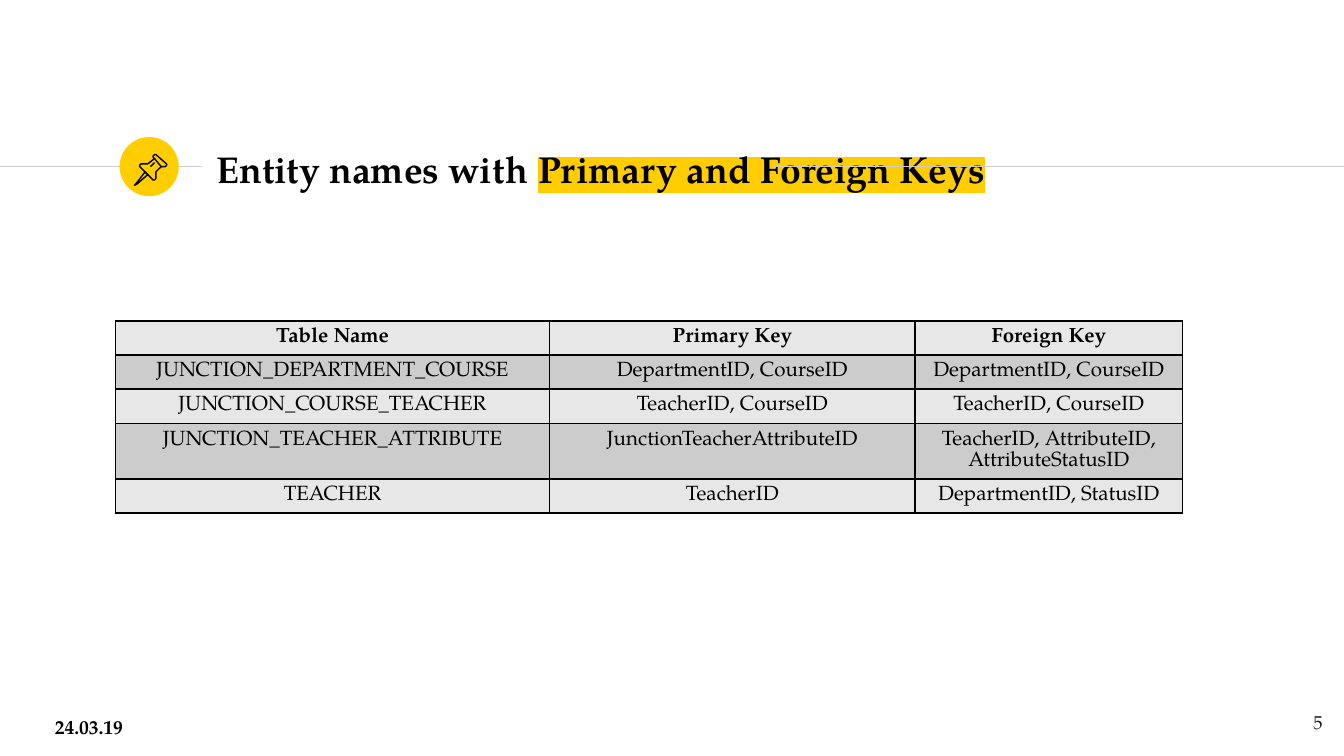
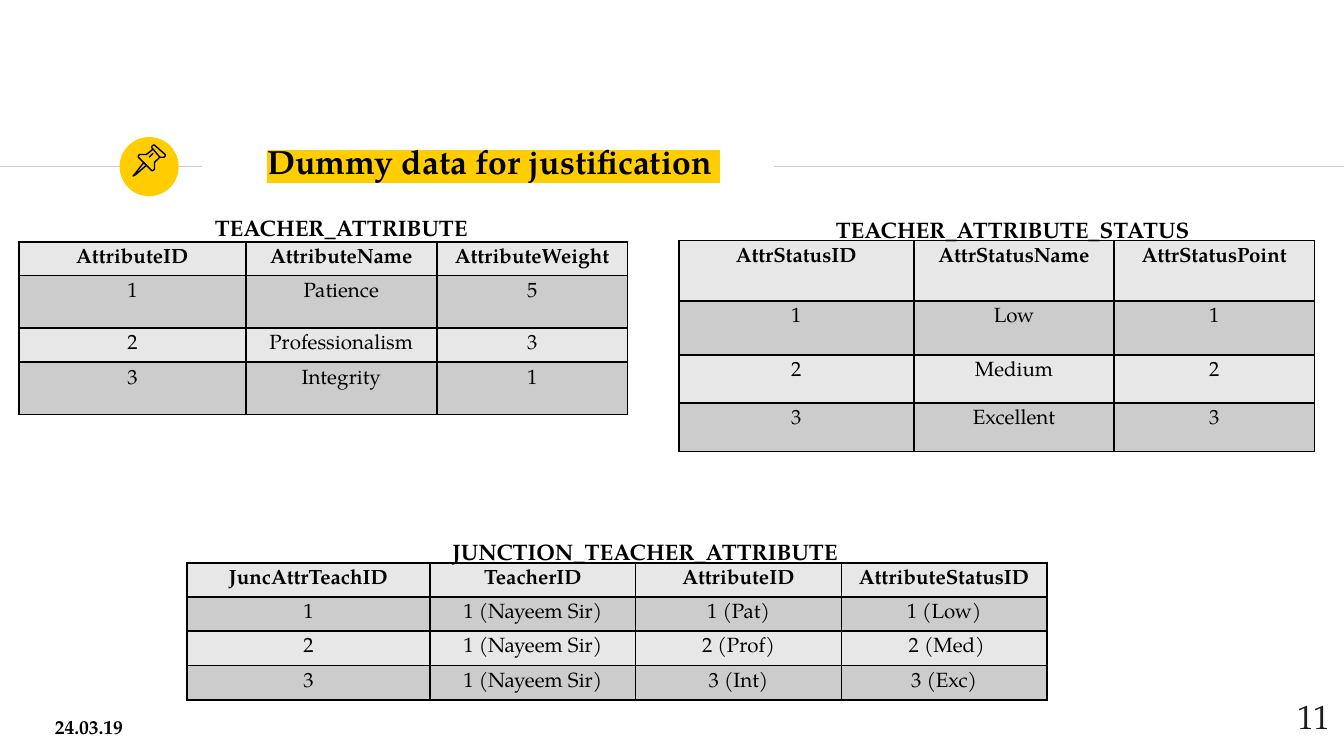
from pptx import Presentation
from pptx import util as u
from pptx.dml.color import RGBColor
from pptx.enum import shapes, text
from pptx.oxml import parse_xml
from pptx.oxml.ns import nsdecls

COLUMNS, ROWS = 100, 56.25  # grid of tenth-of-an-inch cells
FONT = "TeX Gyre Pagella"
INK, NUMBER_INK, ACCENT, RULE = "000000", "1D1D1B", "FFCD00", "CCCCCC"
BANDS = ("E7E7E7", "CCCCCC")
DATE = "24.03.19"

# Pushpin strokes in hundredths of an inch: points, closed
PIN = [
    ([(8, 13), (1, 22), (0, 23), (2, 22), (10, 15)], True),
    ([(15, 3), (20, 9), (21, 9), (23, 9), (24, 8), (24, 7),
      (16, 0), (15, 0), (14, 1), (14, 2)], True),
    ([(15, 3), (10, 7), (7, 7), (5, 7), (4, 8), (4, 9), (14, 19), (15, 19),
      (16, 18), (16, 16), (16, 13), (20, 9)], False),
    ([(12, 9), (15, 6)], False),
]


def color(hex_string):
    return RGBColor.from_string(hex_string)


def grid(*cells):
    return [u.Inches(cell / 10) for cell in cells]


class Deck:
    def __init__(self):
        self.prs = Presentation()
        self.prs.slide_width, self.prs.slide_height = grid(COLUMNS, ROWS)
        self.slide = None

    def new_slide(self, pin_at):
        layout = self.prs.slide_layouts.get_by_name("Title Only")
        self.slide = self.prs.slides.add_slide(layout)
        self.rule(0, 15)
        self.disc(8.9, 10.2, 4.4)
        self.rule(57.6, COLUMNS)
        self.pin(*pin_at)
        self.label(DATE, (3.1, 53.3, 8, 1.5), 10.5)

    def rule(self, start, end, row=12.4):
        line = self.slide.shapes.add_connector(
            shapes.MSO_CONNECTOR.STRAIGHT, *grid(start, row, end, row))
        line.line.color.rgb = color(RULE)
        line.line.width = u.Pt(0.75)
        line._element.spPr.append(
            parse_xml(f"<a:effectLst {nsdecls('a')}/>"))

    def disc(self, left, top, size):
        disc = self.slide.shapes.add_shape(
            shapes.MSO_SHAPE.OVAL, *grid(left, top, size, size))
        disc.shadow.inherit = False
        disc.fill.solid()
        disc.fill.fore_color.rgb = color(ACCENT)
        disc.line.fill.background()

    def pin(self, left, top):
        group = self.slide.shapes.add_group_shape()
        for points, closed in PIN:
            builder = group.shapes.build_freeform(
                *points[0], scale=u.Inches(0.01))
            builder.add_line_segments(points[1:], close=closed)
            # The origin is counted in the same hundredths as the points
            stroke = builder.convert_to_shape(*grid(left, top))
            stroke.shadow.inherit = False
            stroke.fill.background()
            stroke.line.color.rgb = color(INK)
            stroke.line.width = u.Pt(0.75)

    def style(self, paragraph, size, bold=True, ink=INK, align="LEFT"):
        paragraph.alignment = getattr(text.PP_ALIGN, align)
        font = paragraph.font
        font.name, font.size, font.bold = FONT, u.Pt(size), bold
        font.color.rgb = color(ink)

    def frame(self, shape, anchor):
        frame = shape.text_frame
        frame.word_wrap = True
        frame.auto_size = text.MSO_AUTO_SIZE.NONE
        frame.vertical_anchor = anchor
        frame.margin_left = frame.margin_right = u.Inches(0.1)
        frame.margin_top = frame.margin_bottom = u.Inches(0.1)
        return frame

    def title(self, plain, marked, box, size):
        title = self.slide.shapes.title
        title.left, title.top, title.width, title.height = grid(*box)
        paragraph = self.frame(title, text.MSO_ANCHOR.MIDDLE).paragraphs[0]
        self.style(paragraph, size)
        if plain:
            paragraph.add_run().text = plain
        run = paragraph.add_run()
        run.text = marked
        run._r.get_or_add_rPr().append(parse_xml(
            f'<a:highlight {nsdecls("a")}><a:srgbClr val="{ACCENT}"/>'
            '</a:highlight>'))

    def label(self, words, box, size, anchor=text.MSO_ANCHOR.MIDDLE, **look):
        label = self.slide.shapes.add_textbox(*grid(*box))
        paragraph = self.frame(label, anchor).paragraphs[0]
        paragraph.add_run().text = words
        self.style(paragraph, size, **look)

    def number(self, words, left, top, size):
        self.label(words, (left, top, 6, 4.3), size, text.MSO_ANCHOR.TOP,
                   bold=False, ink=NUMBER_INK, align="RIGHT")

    def table(self, left, top, widths, heights, records):
        table = self.slide.shapes.add_table(
            len(heights), len(widths),
            *grid(left, top, sum(widths), sum(heights))).table
        table.first_row = table.horz_banding = False
        for column, width in zip(table.columns, grid(*widths)):
            column.width = width
        for row, height in zip(table.rows, grid(*heights)):
            row.height = height
        for r, record in enumerate(records):
            for c, words in enumerate(record):
                cell = table.cell(r, c)
                self.borders(cell)
                cell.fill.solid()
                cell.fill.fore_color.rgb = color(BANDS[r % 2])
                paragraph = cell.text_frame.paragraphs[0]
                paragraph.add_run().text = words
                self.style(paragraph, 11, bold=r == 0, align="CENTER")

    def borders(self, cell):
        properties = cell._tc.get_or_add_tcPr()
        for side in "LRTB":
            properties.append(parse_xml(
                f'<a:ln{side} {nsdecls("a")} w="{u.Pt(1)}"><a:solidFill>'
                f'<a:srgbClr val="{INK}"/></a:solidFill></a:ln{side}>'))


deck = Deck()

# Entity names and their keys
deck.new_slide(pin_at=(10, 11.5))
deck.title("Entity names with ", "Primary and Foreign Keys",
           (15.1, 10.1, 70.5, 4.9), 20)
deck.number("5", 93.4, 51.9, 10)
deck.table(8.6, 23.9, [32.3, 27.2, 19.9], [2.5] * 5, [
    ("Table Name", "Primary Key", "Foreign Key"),
    ("JUNCTION_DEPARTMENT_COURSE", "DepartmentID, CourseID",
     "DepartmentID, CourseID"),
    ("JUNCTION_COURSE_TEACHER", "TeacherID, CourseID", "TeacherID, CourseID"),
    ("JUNCTION_TEACHER_ATTRIBUTE", "JunctionTeacherAttributeID",
     "TeacherID, AttributeID, AttributeStatusID"),
    ("TEACHER", "TeacherID", "DepartmentID, StatusID"),
])

# Dummy data in three tables
deck.new_slide(pin_at=(9.9, 10.8))
deck.title("", "Dummy data for justification ", (18.9, 9.5, 37.4, 4.9), 18)
deck.number("11", 94, 50.8, 18)
deck.table(1.4, 18, [16.9, 14.2, 14.2], [2.4, 3.9, 2.4, 3.9], [
    ("AttributeID", "AttributeName", "AttributeWeight"),
    ("1", "Patience", "5"),
    ("2", "Professionalism", "3"),
    ("3", "Integrity", "1"),
])
deck.table(50.5, 17.9, [17.5, 14.9, 14.9], [4.5, 4, 3.6, 3.6], [
    ("AttrStatusID", "AttrStatusName", "AttrStatusPoint"),
    ("1", "Low", "1"),
    ("2", "Medium", "2"),
    ("3", "Excellent", "3"),
])
deck.table(13.9, 41.9, [18.1] + [15.3] * 3, [2.5] * 4, [
    ("JuncAttrTeachID", "TeacherID", "AttributeID", "AttributeStatusID"),
    ("1", "1 (Nayeem Sir)", "1 (Pat)", "1 (Low)"),
    ("2", "1 (Nayeem Sir)", "2 (Prof)", " 2 (Med)"),
    ("3", "1 (Nayeem Sir)", "3 (Int)", "3 (Exc)"),
])
deck.label("TEACHER_ATTRIBUTE", (15, 15.7, 21.5, 2.4), 12)
deck.label("TEACHER_ATTRIBUTE_STATUS", (61.2, 15.1, 28.8, 4), 12)
deck.label("JUNCTION_TEACHER_ATTRIBUTE", (31.9, 38.6, 32.2, 4.9), 12,
           align="CENTER")

deck.prs.save("out.pptx")
